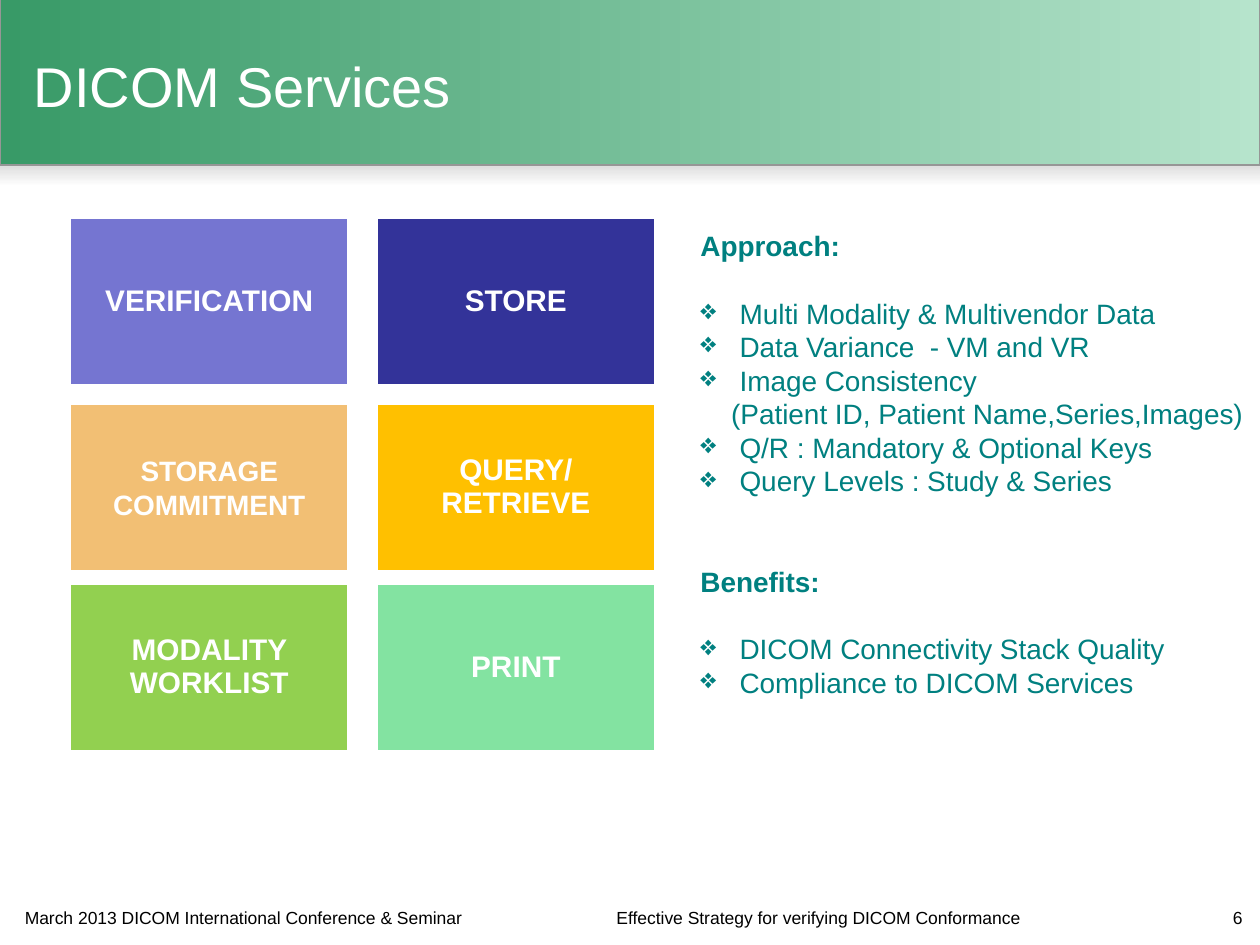
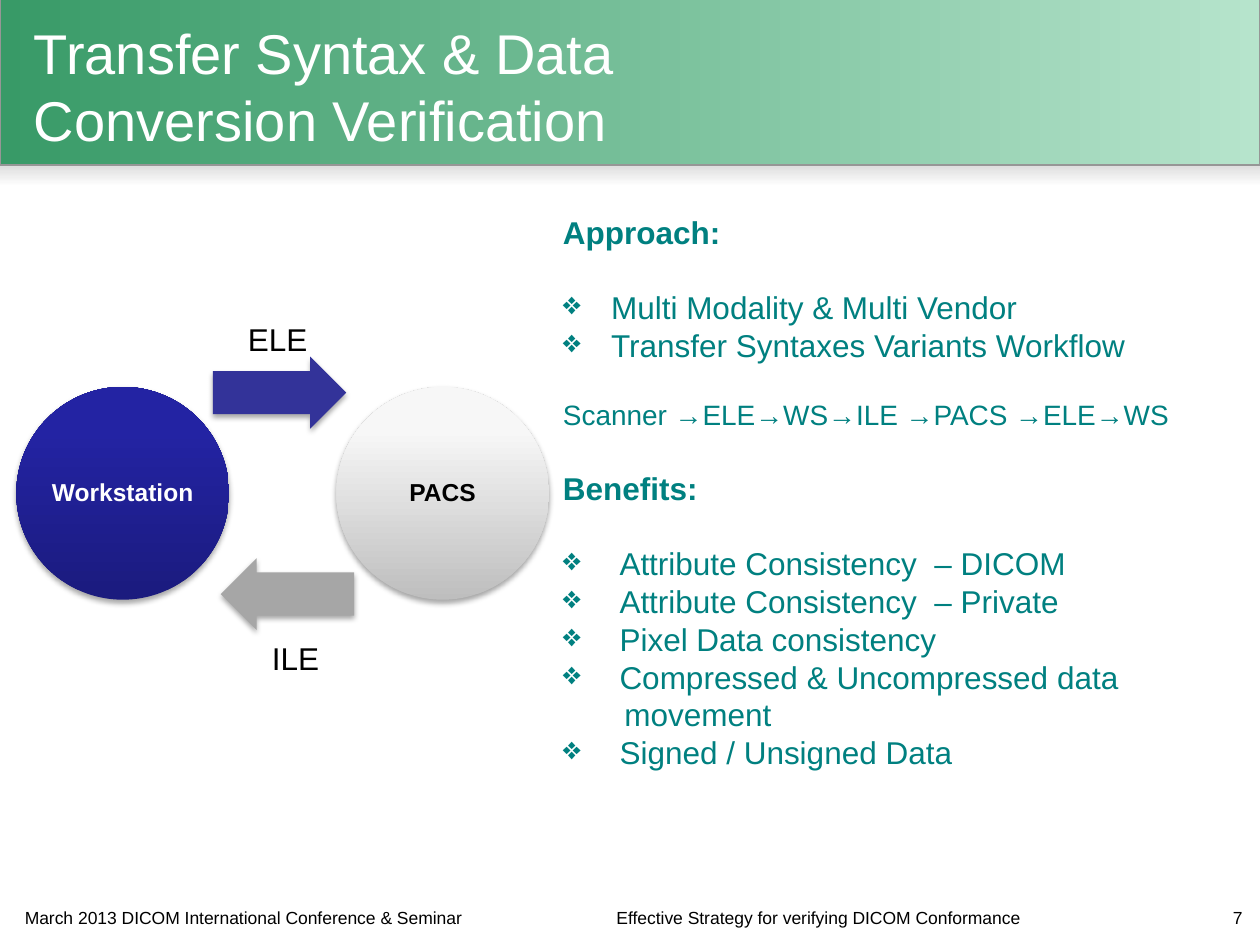
from lxml import etree
from pptx import Presentation
from pptx.dml.color import RGBColor
from pptx.enum.shapes import MSO_SHAPE
from pptx.enum.text import MSO_ANCHOR, MSO_AUTO_SIZE, PP_ALIGN
from pptx.oxml.ns import qn
from pptx.util import Cm, Pt

RECT, OVAL, ARROW = MSO_SHAPE.RECTANGLE, MSO_SHAPE.OVAL, MSO_SHAPE.RIGHT_ARROW
LEFT, CENTER, RIGHT = PP_ALIGN.LEFT, PP_ALIGN.CENTER, PP_ALIGN.RIGHT
MIDDLE = MSO_ANCHOR.MIDDLE
FONT = "Arial"
C = {
    "white": "FFFFFF", "black": "000000", "teal": "008080",
    "band_dark": "389A67", "band_light": "B6E4CC", "band_edge": "969696",
    "strip": "DDDDDD", "navy": "333399", "violet": "7575D1",
    "sand": "F2BF74", "amber": "FFC000", "lime": "92D050", "mint": "83E3A1",
    "blue_dark": "1B1B7E", "blue": "2323A3",
    "silver_dark": "BEBEBE", "silver": "F7F7F7", "grey": "A6A6A6",
}


def add_shape(s, kind, box, fill, line=None, shadow=False):
    """Fill is a colour name or (first, last, last position, angle); line is (name, points)."""
    sp = s.shapes.add_shape(kind, *map(Cm, box))
    sp.shadow.inherit = False
    if isinstance(fill, str):
        sp.fill.solid()
        sp.fill.fore_color.rgb = RGBColor.from_string(C[fill])
    else:
        first, last, end, angle = fill
        sp.fill.gradient()
        sp.fill.gradient_angle = angle
        for stop, name, position in zip(sp.fill.gradient_stops, (first, last), (0, end)):
            stop.color.rgb = RGBColor.from_string(C[name])
            stop.position = position
    if line:
        sp.line.color.rgb = RGBColor.from_string(C[line[0]])
        sp.line.width = Pt(line[1])
    else:
        sp.line.fill.background()
    if shadow:
        effects = sp.element.spPr.find(qn("a:effectLst"))
        outer = etree.SubElement(effects, qn("a:outerShdw"), blurRad="40000",
                                 dist="23000", dir="5400000", rotWithShape="0")
        color = etree.SubElement(outer, qn("a:srgbClr"), val=C["black"])
        etree.SubElement(color, qn("a:alpha"), val="35000")
    return sp


def write(sp, lines, size, color, bold=False, align=LEFT, spacing=None, margin=None):
    """Each line is (text, format); format may hold size, bold, before, indent and bullet."""
    tf = sp.text_frame
    tf.word_wrap = True
    tf.auto_size = MSO_AUTO_SIZE.NONE
    if margin is not None:
        for side in ("left", "top", "right", "bottom"):
            setattr(tf, f"margin_{side}", Cm(margin))
    for i, (text, fmt) in enumerate(lines):
        p = tf.add_paragraph() if i else tf.paragraphs[0]
        p.alignment = align
        if spacing:
            p.line_spacing = spacing
        if "before" in fmt:
            p.space_before = Pt(fmt["before"])
        if "indent" in fmt:
            pPr = p._p.get_or_add_pPr()
            pPr.set("marL", str(Cm(fmt["indent"])))
            if "bullet" in fmt:
                pPr.set("indent", str(-Cm(fmt["indent"])))
                etree.SubElement(pPr, qn("a:buChar"), char=fmt["bullet"])
        r = p.add_run()
        r.text = text
        values = {"name": FONT, "size": Pt(fmt.get("size", size)), "bold": fmt.get("bold", bold)}
        for name, value in values.items():
            setattr(r.font, name, value)
        r.font.color.rgb = RGBColor.from_string(C[color])


prs = Presentation()
prs.slide_width, prs.slide_height = Cm(25.4), Cm(19.05)
layout = prs.slide_layouts[5]

# Slides with title and footers
slides = []
for number, title in ((6, "DICOM Services"),
                      (7, "Transfer Syntax & Data Conversion Verification")):
    s = prs.slides.add_slide(layout)
    slides.append(s)
    sp = s.shapes.title
    sp.left, sp.top, sp.width, sp.height = map(Cm, (0.43, 0.36, 17.15, 2.72))
    sp.text_frame.vertical_anchor = MIDDLE
    write(sp, [(title, {})], 32, "white")
    for left, width, align, text in (
            (0.25, 9.45, LEFT, "March 2013 DICOM International Conference & Seminar"),
            (10.13, 12.73, CENTER, "Effective Strategy for verifying DICOM Conformance"),
            (23.8, 1.5, RIGHT, str(number))):
        sp = s.shapes.add_textbox(Cm(left), Cm(18.16), Cm(width), Cm(0.86))
        write(sp, [(text, {})], 10, "black", align=align)
services, transfer = slides

# Header bands, moved behind everything in the shared layout
strip = add_shape(services, RECT, (0, 3.33, 25.4, 0.43), ("strip", "white", 1, 270))
band = add_shape(services, RECT, (0, -0.05, 25.4, 3.38),
                 ("band_dark", "band_light", 1, 0), ("band_edge", 0.75))
for i, sp in enumerate((strip, band)):
    sp.element.nvSpPr.cNvPr.set("id", str(20 + i))
    layout.shapes.element.insert(2 + i, sp.element)

# DICOM Services: tiles
tile_lefts, tile_tops = (1.4, 7.58), (4.39, 8.13, 11.76)
tiles = (
    ("VERIFICATION", "violet"), ("STORE", "navy"),
    ("STORAGE COMMITMENT", "sand"), ("QUERY/RETRIEVE", "amber"),
    ("MODALITY WORKLIST", "lime"), ("PRINT", "mint"),
)
for i, (text, fill) in enumerate(tiles):
    row, col = divmod(i, 2)
    sp = add_shape(services, RECT, (tile_lefts[col], tile_tops[row], 5.64, 3.39),
                   fill, ("white", 2))
    sp.text_frame.vertical_anchor = MIDDLE
    size, spacing = (16, 1.0) if fill == "sand" else (17, 0.9)
    write(sp, [(text, {})], size, "white", True, CENTER, spacing, 0.18)

# DICOM Services: approach and benefits
head = {"bold": True}
item = {"indent": 0.79, "bullet": "❖"}
sp = services.shapes.add_textbox(Cm(13.87), Cm(4.49), Cm(11.53), Cm(10.7))
write(sp, [
    ("Approach:", head),
    ("Multi Modality & Multivendor Data", {**item, "before": 19.2}),
    ("Data Variance  - VM and VR", item),
    ("Image Consistency", item),
    ("(Patient ID, Patient Name,Series,Images)", {"indent": 0.62}),
    ("Q/R : Mandatory & Optional Keys", item),
    ("Query Levels : Study & Series", item),
    ("Benefits:", {**head, "before": 38.4}),
    ("DICOM Connectivity Stack Quality", {**item, "before": 19.2}),
    ("Compliance to DICOM Services", item),
], 16, "teal")

# Transfer Syntax: approach and benefits
approach = {"indent": 0.97, "bullet": "❖"}
benefit = {"indent": 1.14, "bullet": "❖"}
sp = transfer.shapes.add_textbox(Cm(11.1), Cm(4.16), Cm(14.3), Cm(13.9))
write(sp, [
    ("Approach:", head),
    ("Multi Modality & Multi Vendor", {**approach, "before": 21.6}),
    ("Transfer Syntaxes Variants Workflow", approach),
    ("Scanner →ELE→WS→ILE →PACS →ELE→WS", {"size": 16, "before": 19.2}),
    ("Benefits:", {**head, "before": 21.6}),
    ("Attribute Consistency  – DICOM", {**benefit, "before": 21.6}),
    ("Attribute Consistency  – Private", benefit),
    ("Pixel Data consistency", benefit),
    ("Compressed & Uncompressed data", benefit),
    ("movement", {"indent": 1.24}),
    ("Signed / Unsigned Data", benefit),
], 18, "teal")

# Transfer Syntax: exchange between the two systems
for text, left, fill, color in (
        ("Workstation", 0.33, ("blue_dark", "blue", 0.8, 90), "white"),
        ("PACS", 6.78, ("silver_dark", "silver", 0.8, 90), "black")):
    sp = add_shape(transfer, OVAL, (left, 7.8, 4.29, 4.29), fill, shadow=True)
    sp.text_frame.vertical_anchor = MIDDLE
    write(sp, [(text, {})], 14, color, True, CENTER, 0.9, 0.05)

for text, arrow_at, fill, turn, label_at in (
        ("ELE", (4.29, 7.19), "navy", 0, (4.75, 6.32)),
        ("ILE", (4.45, 11.25), "grey", 180, (5.23, 12.75))):
    sp = add_shape(transfer, ARROW, (*arrow_at, 2.69, 1.45), fill, shadow=True)
    sp.adjustments[0], sp.adjustments[1] = 0.6, 0.5
    sp.rotation = turn
    sp = transfer.shapes.add_textbox(*map(Cm, label_at), Cm(1.93), Cm(1.02))
    write(sp, [(text, {})], 18, "black")

prs.save("out.pptx")
